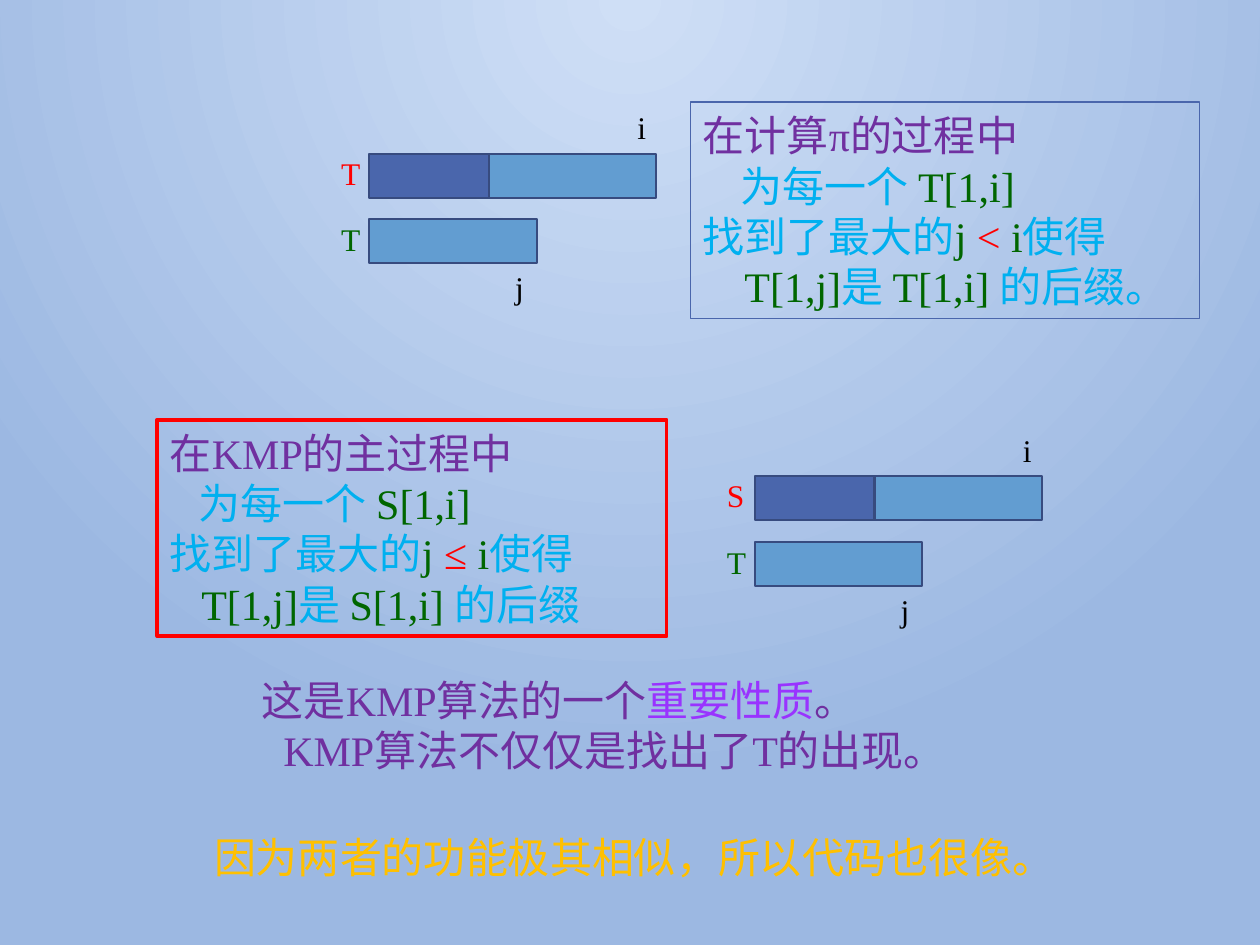
import pptx
import pptx.util
import pptx.dml.color
import pptx.enum.shapes
import pptx.enum.text
import pptx.oxml
import pptx.oxml.ns

Inches = pptx.util.Inches
Pt = pptx.util.Pt

PURPLE, CYAN, GREEN, RED, BLACK = "7030A0", "00B0F0", "006600", "FF0000", "000000"
VIOLET, GOLD, NAVY, SKY, EDGE = "9933FF", "FFC000", "4A66AC", "629DD1", "374B7F"


def color(hex_string):
    return pptx.dml.color.RGBColor.from_string(hex_string)


def paint_background(slide):
    fill = slide.background.fill
    fill.gradient()
    for stop, shade in zip(fill.gradient_stops, ("CFDFF6", "9CB8E2")):
        stop.color.rgb = color(shade)
    gradient = slide.background._cSld.find(".//" + pptx.oxml.ns.qn("a:gradFill"))
    linear = gradient.find(pptx.oxml.ns.qn("a:lin"))
    gradient.replace(linear, pptx.oxml.parse_xml(
        f'<a:path {pptx.oxml.ns.nsdecls("a")} path="circle">'
        '<a:fillToRect l="43000" t="0" r="43000" b="100000"/></a:path>'))


def write(frame, lines, size):
    frame.word_wrap = True
    frame.auto_size = pptx.enum.text.MSO_AUTO_SIZE.SHAPE_TO_FIT_TEXT
    for number, (indent, pieces) in enumerate(lines):
        paragraph = frame.add_paragraph() if number else frame.paragraphs[0]
        paragraph.alignment = pptx.enum.text.PP_ALIGN.LEFT
        if indent:
            paragraph._p.get_or_add_pPr().set("marL", str(Inches(indent)))
        for words, shade in pieces:
            run = paragraph.add_run()
            run.text = words
            run.font.name = "Times New Roman"
            run.font.size = Pt(size)
            run.font.color.rgb = color(shade)


def note(slide, box, lines, size=24):
    text = slide.shapes.add_textbox(*map(Inches, box))
    write(text.text_frame, lines, size)


def block(slide, box, fill, edge, weight):
    bar = slide.shapes.add_shape(
        pptx.enum.shapes.MSO_SHAPE.RECTANGLE, *map(Inches, box))
    bar.shadow.inherit = False
    if fill:
        bar.fill.solid()
        bar.fill.fore_color.rgb = color(fill)
    else:
        bar.fill.background()
    bar.line.color.rgb = color(edge)
    bar.line.width = Pt(weight)
    return bar


def statement(slide, box, edge, weight, process, string, relation, indents, ending):
    each_indent, suffix_indent = indents
    panel = block(slide, box, None, edge, weight)
    write(panel.text_frame, [
        (0, [(f"在{process}过程中", PURPLE)]),
        (each_indent, [("为每一个 ", CYAN), (f"{string}[1,i]", GREEN)]),
        (0, [("找到了最大的", CYAN), ("j ", GREEN), (f"{relation} ", RED),
             ("i", GREEN), ("使得", CYAN)]),
        (suffix_indent, [("T[1,j]", GREEN), ("是 ", CYAN),
                         (f"{string}[1,i] ", GREEN), (ending, CYAN)]),
    ], 24)


def matching(slide, left, top, string):
    for x, y, width, fill in ((0.32, 0.41, 2.25, NAVY),
                              (0.32, 0.93, 1.33, SKY),
                              (1.27, 0.41, 1.33, SKY)):
        block(slide, (left + x, top + y, width, 0.35), fill, EDGE, 1.25)
    for x, y, width, label, shade in ((2.35, 0, 0.29, "i", BLACK),
                                      (1.38, 1.27, 0.29, "j", BLACK),
                                      (0, 0.36, 0.44, string, RED),
                                      (0, 0.89, 0.44, "T", GREEN)):
        note(slide, (left + x, top + y, width, 0.4), [(0, [(label, shade)])], 18)


def conclusion(slide, left, top):
    note(slide, (left + 0.38, top, 5.97, 0.91), [
        (0, [("这是KMP算法的一个", PURPLE), ("重要性质", VIOLET), ("。", PURPLE)]),
        (0.17, [("KMP算法不仅仅是找出了T的出现。", PURPLE)]),
    ])
    note(slide, (left, top + 1.25, 7.02, 0.5),
         [(0, [("因为两者的功能极其相似，所以代码也很像。", GOLD)])])


deck = pptx.Presentation()
deck.slide_width, deck.slide_height = Inches(10), Inches(7.5)
slide = deck.slides.add_slide(deck.slide_layouts[6])
paint_background(slide)
statement(slide, (1.25, 3.33, 4.04, 1.72), RED, 2.25,
          "KMP的主", "S", "≤", (0.23, 0.25), "的后缀")
statement(slide, (5.48, 0.81, 4.04, 1.72), NAVY, 0.75,
          "计算π的", "T", "<", (0.3, 0.33), "的后缀。")
matching(slide, 2.61, 0.81, "T")
matching(slide, 5.67, 3.37, "S")
conclusion(slide, 1.6, 5.3)
deck.save("out.pptx")
